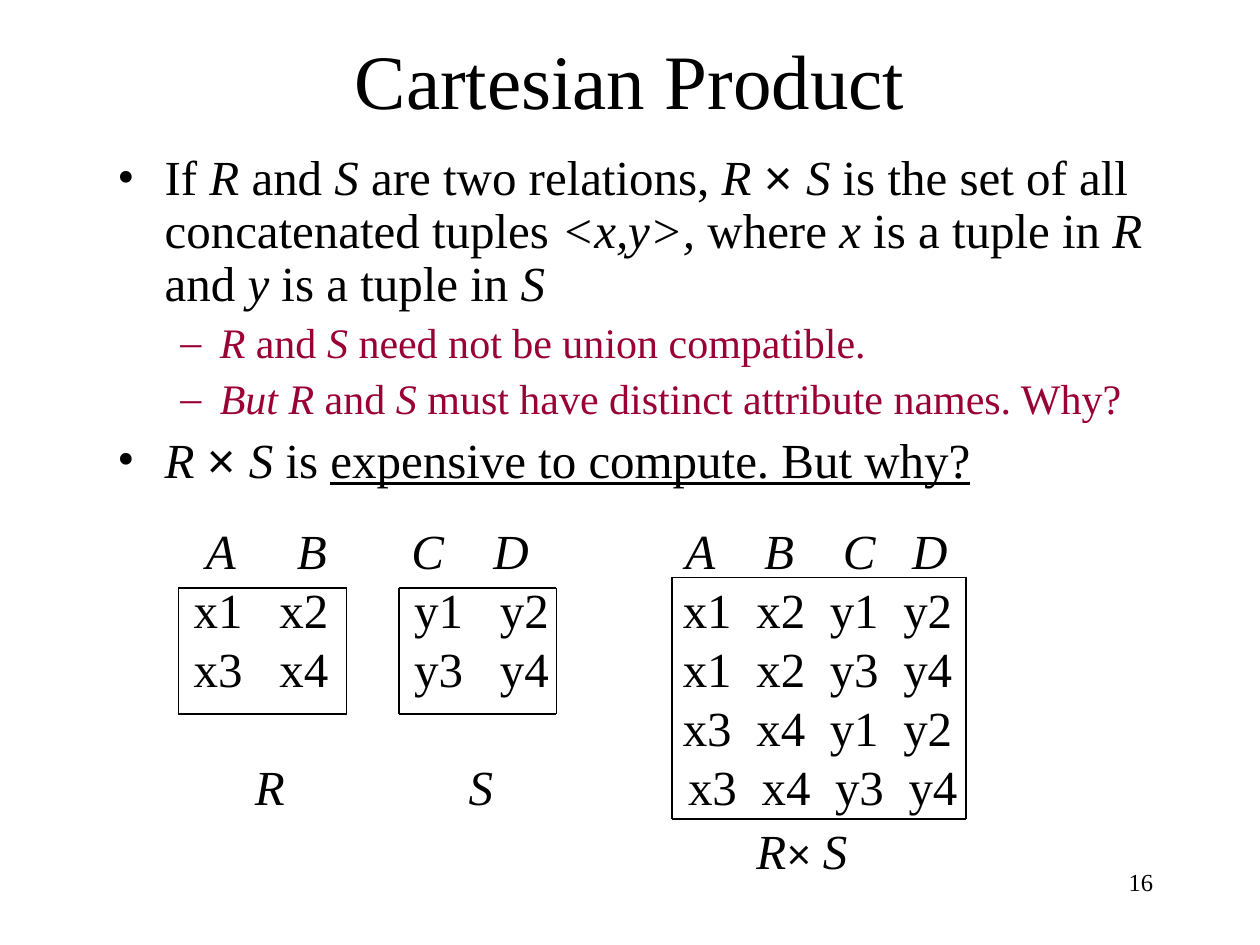
import pptx
import pptx.dml.color
import pptx.enum.shapes
import pptx.enum.text
import pptx.oxml.ns
import pptx.util
from dataclasses import dataclass
from lxml import etree


@dataclass(frozen=True)
class Theme:
    font: str = "Times New Roman"
    symbol_font: str = "Arial"
    ink: str = "000000"
    accent: str = "990033"
    title: int = 44
    body: int = 28
    sub: int = 24
    number: int = 14
    rule: float = 0.75


THEME = Theme()
COLS, ROWS = 120, 90
WIDTH, HEIGHT = pptx.util.Inches(10), pptx.util.Inches(7.5)
ALIGN = pptx.enum.text.PP_ALIGN


def col(n):
    return round(WIDTH * n / COLS)


def row(n):
    return round(HEIGHT * n / ROWS)


def rgb(value):
    return pptx.dml.color.RGBColor.from_string(value)


def add_text_box(s, box, anchor=pptx.enum.text.MSO_ANCHOR.TOP):
    x, y, w, h = box
    tf = s.shapes.add_textbox(col(x), row(y), col(w), row(h)).text_frame
    tf.word_wrap = True
    tf.vertical_anchor = anchor
    return tf


def next_paragraph(tf):
    return tf.add_paragraph() if tf.paragraphs[0].runs else tf.paragraphs[0]


def add_runs(p, runs, size, color=THEME.ink):
    for text, style in runs:
        r = p.add_run()
        r.text = text
        r.font.name = THEME.symbol_font if "x" in style else THEME.font
        r.font.size = pptx.util.Pt(THEME.sub if "s" in style else size)
        r.font.italic = "i" in style
        r.font.underline = "u" in style
        r.font.color.rgb = rgb(color)


def add_child(parent, tag, **attributes):
    child = etree.SubElement(parent, pptx.oxml.ns.qn(tag))
    for name, value in attributes.items():
        child.set(name, str(value))
    return child


def set_bullet(p, char, color, left, hang):
    pPr = p._p.get_or_add_pPr()
    pPr.set("marL", str(col(left)))
    pPr.set("indent", str(-col(hang)))
    add_child(add_child(pPr, "a:buClr"), "a:srgbClr", val=color)
    add_child(pPr, "a:buFont", typeface=THEME.font)
    add_child(pPr, "a:buChar", char=char)


def set_tabs(p, stops):
    tabs = add_child(p._p.get_or_add_pPr(), "a:tabLst")
    for stop in stops:
        add_child(tabs, "a:tab", pos=col(stop), algn="l")


def add_line(s, x1, y1, x2, y2):
    line = s.shapes.add_connector(
        pptx.enum.shapes.MSO_CONNECTOR.STRAIGHT, col(x1), row(y1), col(x2), row(y2))
    line.line.color.rgb = rgb(THEME.ink)
    line.line.width = pptx.util.Pt(THEME.rule)
    add_child(line._element.spPr, "a:effectLst")


def add_frame(s, box):
    x, y, w, h = box
    for edge in (y, y + h):
        add_line(s, x, edge, x + w, edge)
    for edge in (x, x + w):
        add_line(s, edge, y, edge, y + h)


def add_title(s, box, text):
    p = next_paragraph(add_text_box(s, box, pptx.enum.text.MSO_ANCHOR.MIDDLE))
    p.alignment = ALIGN.CENTER
    add_runs(p, [(text, "")], THEME.title)


def add_page_number(s, box, number):
    p = next_paragraph(add_text_box(s, box))
    p.alignment = ALIGN.RIGHT
    add_runs(p, [(str(number), "")], THEME.number)


def add_bullets(s, box, items):
    tf = add_text_box(s, box)
    for i, (level, runs) in enumerate(items):
        p = next_paragraph(tf)
        p.level = level
        if level:
            size, color, before = THEME.sub, THEME.accent, 6
            set_bullet(p, "–", color, 9.75, 3.75)
        else:
            size, color, before = THEME.body, THEME.ink, 7
            set_bullet(p, "•", color, 4.5, 4.5)
        p.line_spacing = 0.9
        p.space_before = pptx.util.Pt(before if i else 0)
        add_runs(p, runs, size, color)


def add_relations(s, box):
    x, y, w, h = box
    header = (2.33, 11, 21.9, 29.7, 48, 55.5, 63, 69.6)
    factors = (1.17, 9.33, 22.17, 30.33)
    product = tuple(47.75 + 7 * i for i in range(4))
    names = (7, 27.35)
    last = tuple(stop + 0.5 for stop in product)
    lines = [
        (header, [("\tA\tB\tC\tD\tA\tB\tC\tD", "i")]),
        (factors + product, [("\tx1\tx2\ty1\ty2\tx1\tx2\ty1\ty2", "")]),
        (factors + product, [("\tx3\tx4\ty3\ty4\tx1\tx2\ty3\ty4", "")]),
        (product, [("\tx3\tx4\ty1\ty2", "")]),
        (names + last, [("\tR\tS", "i"), ("\tx3\tx4\ty3\ty4", "")]),
        (product[1:2], [("\tR", "i"), ("×", "ixs"), (" S", "i")]),
    ]
    tf = add_text_box(s, box)
    tf.margin_right = 0
    for stops, runs in lines:
        p = next_paragraph(tf)
        set_tabs(p, stops)
        add_runs(p, runs, THEME.body)
    p.line_spacing = 1.1
    for dx, dy, fw, fh in ((0.9, 7, 16, 12), (21.9, 7, 15, 12), (47.9, 6, 28, 23)):
        add_frame(s, (x + dx, y + dy, fw, fh))


def main():
    prs = pptx.Presentation()
    prs.slide_width, prs.slide_height = WIDTH, HEIGHT
    s = prs.slides.add_slide(prs.slide_layouts[6])
    add_page_number(s, (86, 82, 25, 6), 16)
    add_title(s, (9, 0, 102, 15), "Cartesian Product")
    add_bullets(s, (10, 14, 101, 36), [
        (0, [("If ", ""), ("R ", "i"), ("and ", ""), ("S ", "i"),
             ("are two relations, ", ""), ("R ", "i"), ("× ", "x"), ("S", "i"),
             (" is the set of all concatenated tuples ", ""), ("<x,y>,", "i"),
             (" where ", ""), ("x", "i"), (" is a tuple in ", ""), ("R", "i"),
             (" and ", ""), ("y", "i"), (" is a tuple in ", ""), ("S", "i")]),
        (1, [("R", "i"), (" and ", ""), ("S", "i"),
             (" need not be union compatible.", "")]),
        (1, [("But R", "i"), (" and ", ""), ("S", "i"),
             (" must have distinct attribute names. Why?", "")]),
        (0, [("R ", "i"), ("× ", "x"), ("S", "i"), (" is ", ""),
             ("expensive to compute. But why?", "u")]),
    ])
    add_relations(s, (16.1, 49, 78, 35.4))
    prs.save("out.pptx")


if __name__ == "__main__":
    main()
